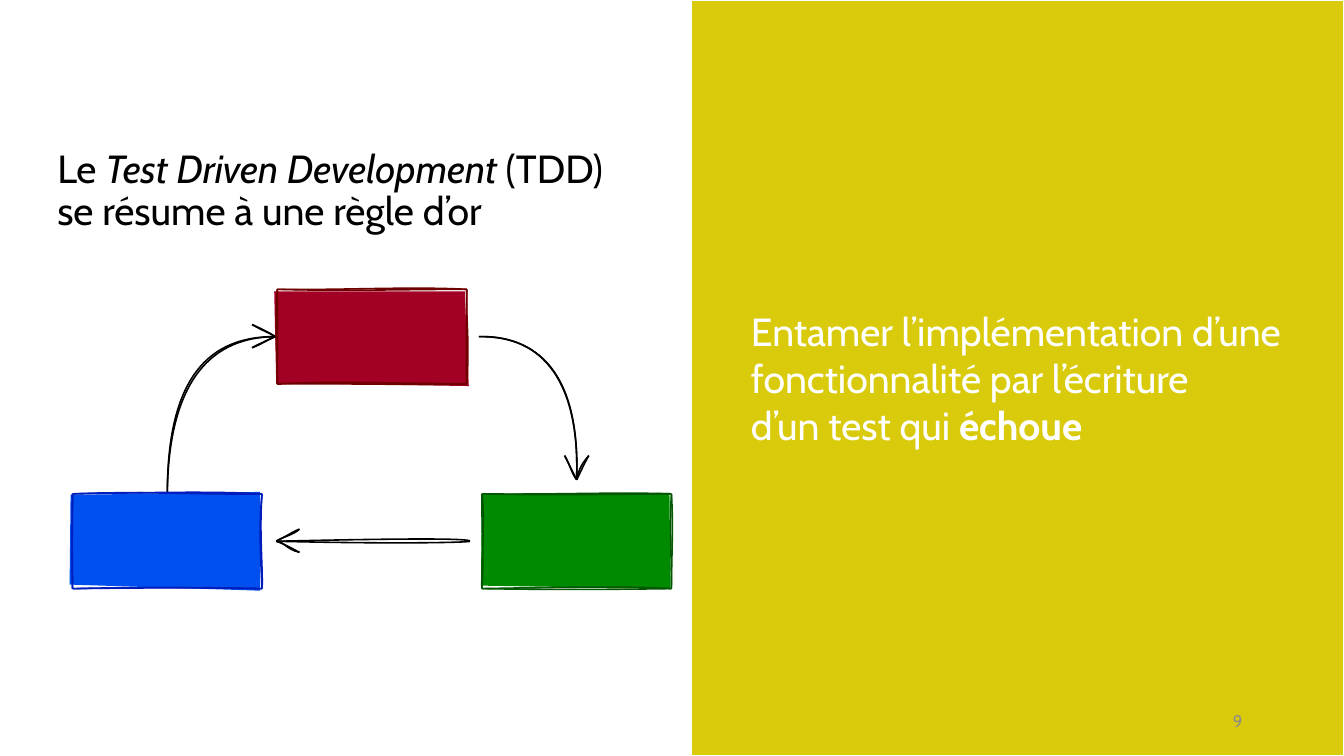
from dataclasses import dataclass

from lxml import etree
from pptx import Presentation
from pptx.dml.color import RGBColor
from pptx.enum.shapes import MSO_SHAPE
from pptx.enum.text import MSO_ANCHOR, PP_ALIGN
from pptx.oxml.ns import qn
from pptx.shapes.autoshape import Shape
from pptx.shapes.shapetree import GroupShapes
from pptx.text.text import TextFrame, _Paragraph
from pptx.util import Emu, Pt

RECTANGLE = MSO_SHAPE.RECTANGLE
MIDDLE = MSO_ANCHOR.MIDDLE
LEFT, RIGHT = PP_ALIGN.LEFT, PP_ALIGN.RIGHT
EMU_PER_PX = 9144
BOX_WIDTH, BOX_HEIGHT = 188, 94

Point = tuple[int, int]
Bend = tuple[int, int, int, int]


@dataclass(frozen=True)
class Theme:
    font: str = "Cabin"
    body_size: int = 28
    number_size: int = 12
    sketch_width: float = 1.12
    panel_line_width: float = 1.5
    panel: str = "D9CB0B"
    white: str = "FFFFFF"
    black: str = "000000"
    grey: str = "8C8C8C"
    red: str = "A20025"
    dark_red: str = "6F0000"
    green: str = "008A00"
    dark_green: str = "005700"
    blue: str = "0050EF"
    dark_blue: str = "001DBC"


@dataclass(frozen=True)
class SketchLine:
    points: list[Point]
    bends: list[Bend]


@dataclass(frozen=True)
class Stage:
    left: int
    top: int
    fill: str
    line: str
    patch: list[Point]
    bends: list[Bend]
    arrow: SketchLine
    head: SketchLine


THEME = Theme()

STAGES = [
    Stage(275, 287, THEME.red, THEME.dark_red,
          [(272, 289), (461, 289), (465, 383), (274, 380)],
          [(338, 288, 406, 284), (340, 289, 405, 287),
           (462, 316, 466, 338), (463, 322, 462, 354),
           (387, 380, 313, 378), (392, 382, 323, 380),
           (276, 357, 272, 329), (275, 354, 276, 327)],
          SketchLine([(475, 334), (572, 474)],
                     [(541, 333, 575, 380), (539, 332, 575, 380)]),
          SketchLine([(560, 452), (572, 476), (584, 452)],
                     [(565, 460, 567, 470), (564, 460, 567, 466),
                      (574, 465, 578, 459), (576, 468, 579, 461)])),
    Stage(478, 490, THEME.green, THEME.dark_green,
          [(478, 490), (664, 489), (665, 584), (477, 581)],
          [(546, 491, 611, 488), (518, 491, 558, 491),
           (664, 520, 666, 549), (668, 522, 666, 555),
           (603, 585, 533, 585), (627, 582, 587, 582),
           (478, 547, 481, 508), (480, 562, 478, 539)],
          SketchLine([(466, 537), (275, 537)],
                     [(467, 538, 400, 540), (468, 534, 402, 534)]),
          SketchLine([(297, 525), (274, 537), (297, 548)],
                     [(291, 531, 279, 533), (293, 526, 286, 531),
                      (281, 537, 284, 545), (280, 539, 286, 542)])),
    Stage(72, 490, THEME.blue, THEME.dark_blue,
          [(70, 491), (258, 488), (258, 586), (69, 580)],
          [(136, 487, 204, 491), (139, 489, 208, 487),
           (257, 527, 261, 565), (257, 517, 258, 544),
           (209, 583, 153, 582), (203, 583, 147, 583),
           (72, 558, 71, 530), (71, 552, 72, 522)],
          SketchLine([(166, 490), (272, 334)],
                     [(167, 387, 203, 335), (166, 386, 199, 334)]),
          SketchLine([(250, 345), (273, 334), (250, 322)],
                     [(259, 342, 267, 336), (257, 341, 265, 338),
                      (269, 331, 259, 326), (267, 330, 262, 329)])),
]


def px(length: int) -> Emu:
    return Emu(length * EMU_PER_PX)


def scaled(points: list[Point]) -> list[tuple[Emu, Emu]]:
    return [(px(x), px(y)) for x, y in points]


def bend_segments(shape: Shape) -> None:
    segments = list(shape._element.iter(qn("a:lnTo")))
    for first in range(0, len(segments), 3):
        curve = etree.Element(qn("a:cubicBezTo"))
        segments[first].addprevious(curve)
        for segment in segments[first:first + 3]:
            curve.append(segment[0])
            segment.getparent().remove(segment)


def add_strokes(group: GroupShapes, sketch: SketchLine, color: str) -> None:
    points = scaled(sketch.points)
    builder = group.build_freeform(*points[0])
    for index, bend in enumerate(sketch.bends):
        edge = index // 2
        if index:
            builder.move_to(*points[edge])
        controls = scaled([bend[:2], bend[2:]])
        builder.add_line_segments([*controls, points[edge + 1]], close=False)
    outline = builder.convert_to_shape()
    bend_segments(outline)
    outline.shadow.inherit = False
    outline.fill.background()
    outline.line.color.rgb = RGBColor.from_string(color)
    outline.line.width = Pt(THEME.sketch_width)


def paint(shape: Shape, color: str) -> None:
    shape.shadow.inherit = False
    shape.fill.solid()
    shape.fill.fore_color.rgb = RGBColor.from_string(color)


def add_stage(group: GroupShapes, stage: Stage) -> None:
    vertices = scaled(stage.patch)
    builder = group.build_freeform(*vertices[0])
    builder.add_line_segments(vertices[1:], close=True)
    patch = builder.convert_to_shape()
    paint(patch, stage.fill)
    patch.line.fill.background()
    right, bottom = stage.left + BOX_WIDTH, stage.top + BOX_HEIGHT
    corners = [(stage.left, stage.top), (right, stage.top), (right, bottom),
               (stage.left, bottom), (stage.left, stage.top)]
    add_strokes(group, SketchLine(corners, stage.bends), stage.line)


def add_text(para: _Paragraph, text: str, *, color: str, size: int = THEME.body_size,
             bold: bool = False, italic: bool = False) -> None:
    for index, line in enumerate(text.split("\n")):
        if index:
            para.add_line_break()
        span = para.add_run()
        span.text = line
        span.font.name = THEME.font
        span.font.size = Pt(size)
        span.font.bold = bold
        span.font.italic = italic
        span.font.color.rgb = RGBColor.from_string(color)


def prepare(frame: TextFrame) -> TextFrame:
    frame.word_wrap = True
    frame.vertical_anchor = MIDDLE
    return frame


def main() -> None:
    deck = Presentation()
    deck.slide_width, deck.slide_height = px(1333), px(750)
    page = deck.slides.add_slide(deck.slide_layouts[6])

    panel = page.shapes.add_shape(RECTANGLE, px(685), px(0), px(648), px(750))
    paint(panel, THEME.panel)
    panel.line.color.rgb = RGBColor.from_string(THEME.white)
    panel.line.width = Pt(THEME.panel_line_width)
    frame = prepare(panel.text_frame)
    rule, ending = frame.paragraphs[0], frame.add_paragraph()
    for para in (rule, ending):
        para.alignment = LEFT
        para.level = 1
        para._p.get_or_add_pPr().set("marL", str(px(50)))
    add_text(rule, "Entamer l’implémentation d’une fonctionnalité par l’écriture",
             color=THEME.white)
    add_text(ending, "d’un test qui ", color=THEME.white)
    add_text(ending, "échoue", color=THEME.white, bold=True)

    title = page.shapes.add_textbox(px(47), px(118), px(620), px(145))
    para = prepare(title.text_frame).paragraphs[0]
    para.line_spacing = 0.9
    add_text(para, "Le ", color=THEME.black)
    add_text(para, "Test Driven Development ", color=THEME.black, italic=True)
    add_text(para, "(TDD)\nse résume à une règle d’or", color=THEME.black)

    number = page.shapes.add_textbox(px(942), px(695), px(300), px(40))
    para = prepare(number.text_frame).paragraphs[0]
    para.alignment = RIGHT
    add_text(para, "9", color=THEME.grey, size=THEME.number_size)

    cycle = page.shapes.add_group_shape().shapes
    for stage in STAGES:
        add_strokes(cycle, stage.arrow, THEME.black)
        add_strokes(cycle, stage.head, THEME.black)
        add_stage(cycle, stage)

    deck.save("out.pptx")


if __name__ == "__main__":
    main()
